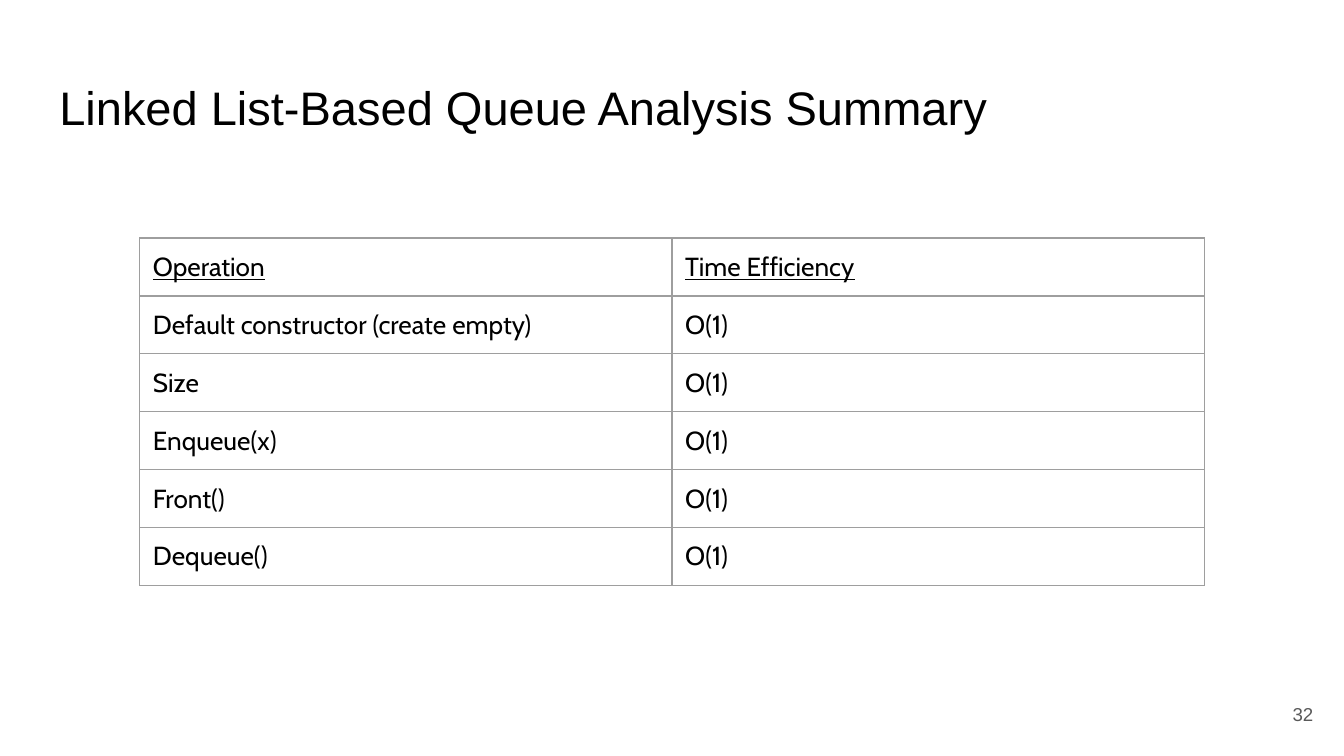
from lxml.etree import SubElement
from pptx import Presentation
from pptx.dml.color import RGBColor
from pptx.enum.text import MSO_ANCHOR, MSO_AUTO_SIZE, PP_ALIGN
from pptx.oxml.ns import qn
from pptx.util import Cm, Pt

INSET = Cm(0.25)
ROWS = [
    ("Operation", "Time Efficiency"),
    ("Default constructor (create empty)", "O(1)"),
    ("Size", "O(1)"),
    ("Enqueue(x)", "O(1)"),
    ("Front()", "O(1)"),
    ("Dequeue()", "O(1)"),
]


def color(code):
    return RGBColor.from_string(code)


def style(para, size, face, code, align=PP_ALIGN.LEFT):
    para.alignment = align
    para.font.size = Pt(size)
    para.font.name = face
    para.font.color.rgb = color(code)


def inset(item):
    item.margin_left = item.margin_right = INSET
    item.margin_top = item.margin_bottom = INSET


def place(shape, box):
    shape.left, shape.top, shape.width, shape.height = map(Cm, box)


def add_title(slide, box, text):
    title = slide.shapes.title
    place(title, box)
    frame = title.text_frame
    frame.text = text
    frame.word_wrap = True
    frame.auto_size = MSO_AUTO_SIZE.NONE
    frame.vertical_anchor = MSO_ANCHOR.TOP
    inset(frame)
    style(frame.paragraphs[0], 25.2, "Arial", "000000")


def add_number(slide, box, text):
    frame = slide.shapes.add_textbox(*map(Cm, box)).text_frame
    frame.text = text
    frame.word_wrap = True
    frame.vertical_anchor = MSO_ANCHOR.MIDDLE
    inset(frame)
    style(frame.paragraphs[0], 10, "Arial", "595959", PP_ALIGN.RIGHT)


def add_border(cell, code, width):
    props = cell._tc.get_or_add_tcPr()
    for side in ("lnL", "lnR", "lnT", "lnB"):
        line = SubElement(props, qn(f"a:{side}"), w=str(Pt(width)))
        fill = SubElement(line, qn("a:solidFill"))
        SubElement(fill, qn("a:srgbClr"), val=code)


def add_grid(slide, box, rows):
    table = slide.shapes.add_table(len(rows), len(rows[0]), *map(Cm, box)).table
    table.first_row = table.horz_banding = False
    for r, row in enumerate(rows):
        for c, text in enumerate(row):
            cell = table.cell(r, c)
            cell.text = text
            inset(cell)
            para = cell.text_frame.paragraphs[0]
            style(para, 14, "Cabin", "000000")
            para.font.underline = r == 0
            add_border(cell, "9E9E9E", 0.75)
            cell.fill.background()


def main():
    deck = Presentation()
    deck.slide_width, deck.slide_height = Cm(25.4), Cm(14.29)
    slide = deck.slides.add_slide(deck.slide_layouts.get_by_name("Title Only"))
    add_title(slide, (0.87, 1.24, 23.67, 1.6), "Linked List-Based Queue Analysis Summary")
    add_number(slide, (23.55, 12.95, 1.52, 1.09), "32")
    add_grid(slide, (2.64, 4.5, 20.12, 6.42), ROWS)
    deck.save("out.pptx")


if __name__ == "__main__":
    main()
